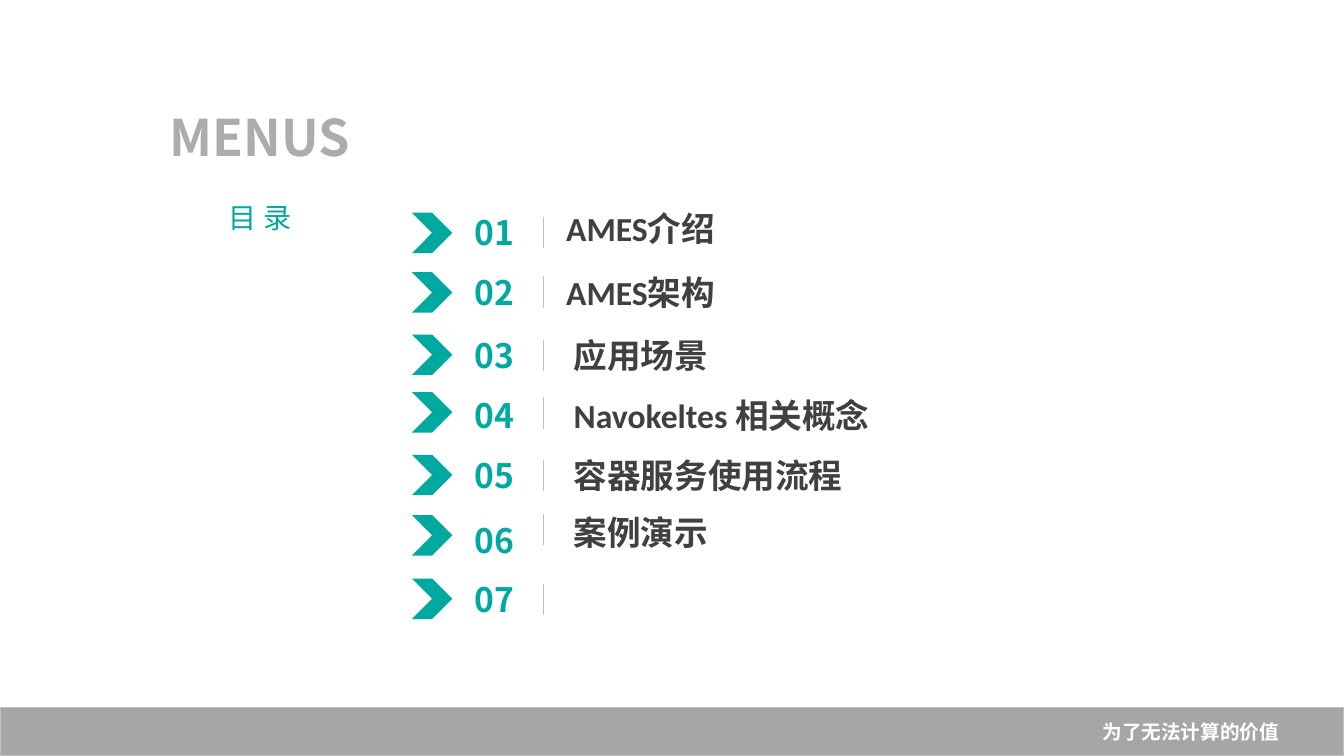
"""Build the agenda slide with seven numbered rows and a footer band."""
from lxml.etree import SubElement
from pptx import Presentation
from pptx.dml.color import RGBColor
from pptx.enum.shapes import MSO_CONNECTOR, MSO_SHAPE
from pptx.enum.text import MSO_ANCHOR, PP_ALIGN
from pptx.oxml.ns import qn
from pptx.util import Cm, Pt

NOTO, LATIN = "Noto Sans CJK SC", "Calibri"
TEAL, DARK = "00A99F", "404040"
WIDE, HIGH = 33.87, 19.05
INSET, INDENT = 0.25, 0.19

# label, indent, then the tops of number, tick, chevron and label
ROWS = [
    ("AMES介绍", 0, 4.85, 5.46, 5.36, 4.75),
    ("AMES架构", 0, 6.35, 6.96, 6.86, 6.35),
    ("应用场景", INDENT, 7.95, 8.56, 8.43, 7.95),
    ("Navokeltes 相关概念", INDENT, 9.47, 10.01, 9.88, 9.47),
    ("容器服务使用流程", INDENT, 10.97, 11.58, 11.46, 10.97),
    ("案例演示", INDENT, 12.6, 12.95, 12.98, 12.4),
    ("", 0, 14.1, 14.71, 14.58, 0),
]


def color(code):
    return RGBColor.from_string(code)


def place(shape, left, top, width, height):
    shape.left, shape.top = Cm(left), Cm(top)
    shape.width, shape.height = Cm(width), Cm(height)


def write(shape, text, size, face, code, bold=True, align=PP_ALIGN.CENTER):
    frame = shape.text_frame
    frame.word_wrap = True
    frame.vertical_anchor = MSO_ANCHOR.MIDDLE
    para = frame.paragraphs[0]
    para.text, para.alignment = text, align
    font = para.font
    font.size, font.bold = Pt(size), bold
    font.color.rgb = color(code)
    font.name = face
    SubElement(font._element, qn("a:ea")).set("typeface", NOTO)
    return frame


def label(slide, box, *style, **more):
    shape = slide.shapes.add_textbox(*map(Cm, box))
    return write(shape, *style, **more)


def block(slide, kind, box, fill):
    shape = slide.shapes.add_shape(kind, *map(Cm, box))
    shape.shadow.inherit = False
    shape.fill.solid()
    shape.fill.fore_color.rgb = color(fill)
    shape.line.fill.background()
    return shape


def tick(slide, left, top):
    line = slide.shapes.add_connector(
        MSO_CONNECTOR.STRAIGHT, Cm(left), Cm(top), Cm(left), Cm(top + 0.79))
    line.line.color.rgb = color("C0C0C0")
    line.line.width = Pt(0.5)
    SubElement(line._element.spPr, qn("a:effectLst"))


def main():
    deck = Presentation()
    deck.slide_width, deck.slide_height = Cm(WIDE), Cm(HIGH)
    slide = deck.slides.add_slide(deck.slide_layouts[5])

    title = slide.shapes.title
    place(title, 3.91, 4.32, 5.28, 2.41)
    write(title, "目 录", 20, NOTO, TEAL, bold=False)
    title.text_frame.paragraphs[0].line_spacing = 0.9
    label(slide, (1.9, 2.36, 9.3, 2.13), "MENUS", 36, NOTO, "AFABAB")

    for num, (name, indent, num_y, tick_y, mark_y, name_y) in enumerate(ROWS, 1):
        block(slide, MSO_SHAPE.CHEVRON, (10.38, mark_y, 1.02, 1.02), TEAL)
        label(slide, (11.4, num_y, 2.13, 2), f"{num:02}", 24, NOTO, TEAL)
        tick(slide, 13.69, tick_y)
        if name:
            frame = label(slide, (14.02, name_y, 14, 2), name, 24, LATIN, DARK,
                          align=PP_ALIGN.LEFT)
            frame.margin_left = Cm(INSET + indent)

    band = block(slide, MSO_SHAPE.RECTANGLE, (0, 17.83, WIDE, 1.22), "A6A6A6")
    band.line.color.rgb = color("BFBFBF")
    band.line.width = Pt(1)
    frame = write(band, "为了无法计算的价值", 14, LATIN, "FFFFFF", align=PP_ALIGN.RIGHT)
    frame.margin_right = Cm(1.63)

    deck.save("out.pptx")


if __name__ == "__main__":
    main()
